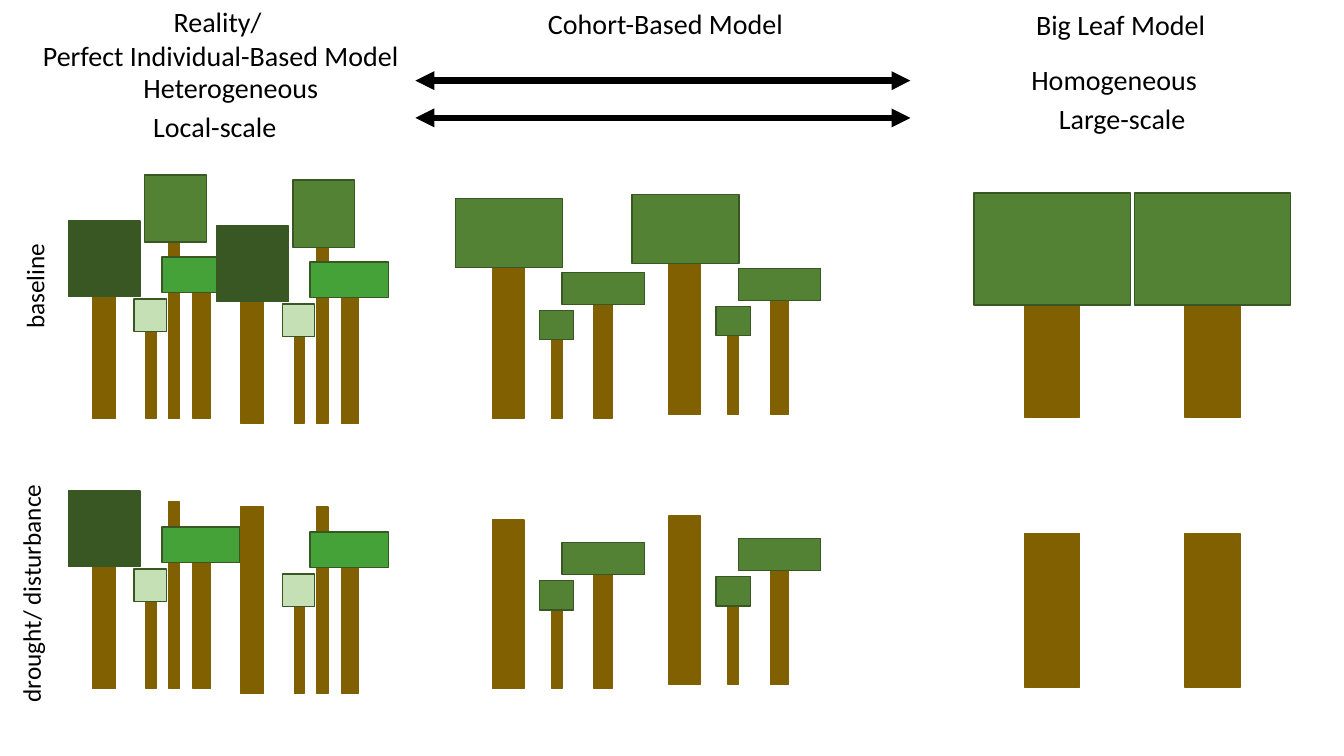
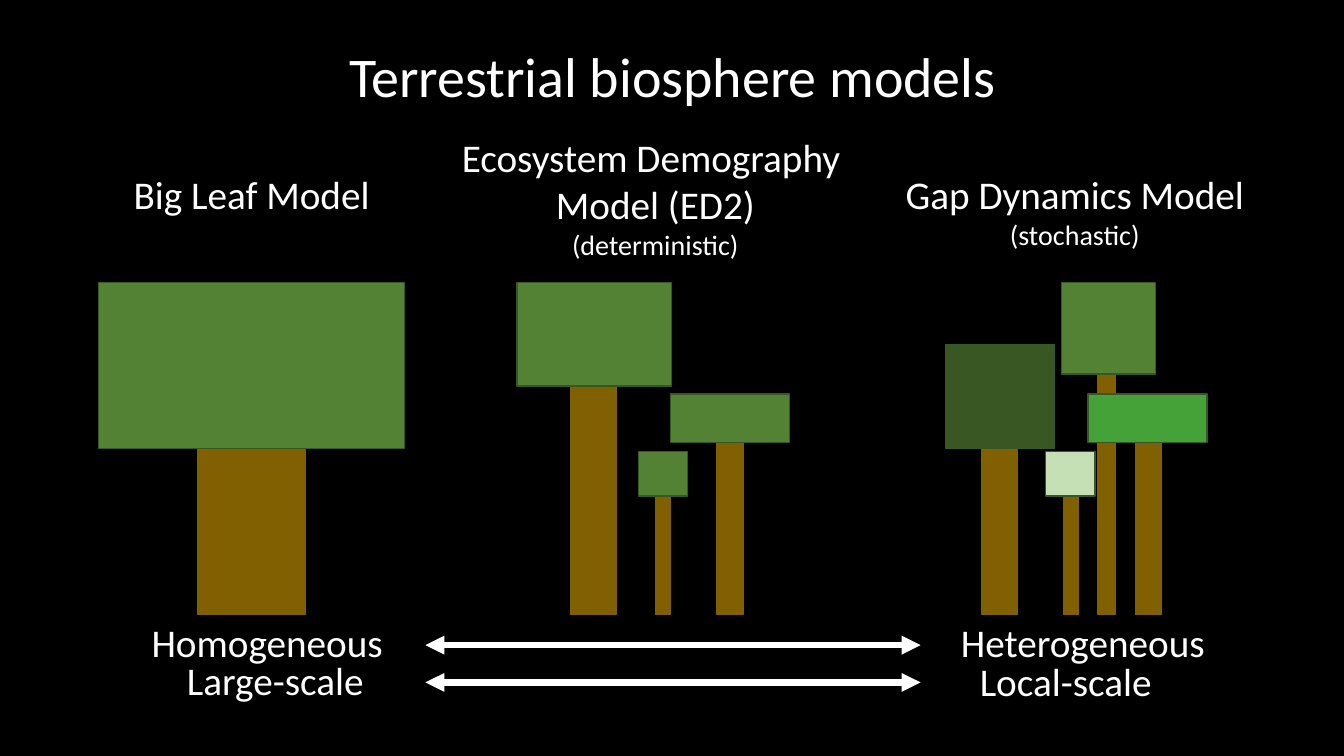
import dataclasses

import pptx
import pptx.dml.color
import pptx.enum.shapes
import pptx.enum.text
import pptx.oxml
import pptx.oxml.ns
import pptx.util

Inches = pptx.util.Inches
Pt = pptx.util.Pt
RGB = pptx.dml.color.RGBColor.from_string
ALIGN = pptx.enum.text.PP_ALIGN
ANCHOR = pptx.enum.text.MSO_ANCHOR


@dataclasses.dataclass(frozen=True)
class Theme:
    font: str = "Calibri"
    black: str = "000000"
    white: str = "FFFFFF"
    bark: str = "806000"
    leaf: str = "548235"
    dark_leaf: str = "385723"
    bright_leaf: str = "45A238"
    pale_leaf: str = "C5E0B4"
    title: int = 40
    heading: int = 28
    label: int = 20
    row_label: int = 18
    outline: float = 1
    arrow: float = 4.5


theme = Theme()

# Each tree: trunk (left, width, height), crown (left, top above ground,
# width, height) and crown colour, measured from the stand's left and ground.
BIG_LEAF = {
    "only": ((0.98, 1.07, 2.27), (0, 3.3, 3.03, 1.65), theme.leaf),
}
COHORT = {
    "tall": ((0.53, 0.45, 2.53), (0, 3.3, 1.53, 1.03), theme.leaf),
    "middle": ((1.98, 0.26, 1.8), (1.52, 2.19, 1.18, 0.48), theme.leaf),
    "small": ((1.37, 0.15, 1.37), (1.2, 1.62, 0.49, 0.44), theme.leaf),
}
INDIVIDUAL = {
    "thin": ((1.51, 0.17, 2.53), (1.15, 3.3, 0.93, 0.91), theme.leaf),
    "dark": ((0.36, 0.35, 2.53), (0, 2.68, 1.08, 1.03), theme.dark_leaf),
    "middle": ((1.88, 0.26, 1.8), (1.41, 2.19, 1.18, 0.48), theme.bright_leaf),
    "small": ((1.17, 0.15, 1.37), (0.99, 1.62, 0.49, 0.44), theme.pale_leaf),
}


def add_text(slide, text, box, size, color, align=ALIGN.CENTER, anchor=ANCHOR.TOP,
             spacing=None, rotation=0, wrap=True, last_size=None):
    """Write one paragraph per line; last_size sets the last line apart."""
    label = slide.shapes.add_textbox(*map(Inches, box))
    label.rotation = rotation
    frame = label.text_frame
    frame.word_wrap = wrap
    frame.vertical_anchor = anchor
    frame.text = text
    for paragraph in frame.paragraphs:
        paragraph.alignment = align
        paragraph.line_spacing = spacing
        font = paragraph.runs[0].font
        font.name = theme.font
        font.size = Pt(size)
        font.color.rgb = RGB(color)
    if last_size:
        font.size = Pt(last_size)


def plant(slide, stand, left, ground, scale_x=1, scale_y=1, fallen=()):
    """Draw a stand of trees as one group; fallen trees lose their crowns."""
    blocks = [(x, height, width, height, theme.bark, theme.bark)
              for (x, width, height), _, _ in stand.values()]
    blocks += [(*crown, color, theme.dark_leaf)
               for tree, (_, crown, color) in stand.items() if tree not in fallen]
    group = slide.shapes.add_group_shape()
    for x, top, width, height, fill, outline in blocks:
        block = group.shapes.add_shape(
            pptx.enum.shapes.MSO_SHAPE.RECTANGLE,
            Inches(left + x * scale_x), Inches(ground - top * scale_y),
            Inches(width * scale_x), Inches(height * scale_y))
        block.shadow.inherit = False
        block.fill.solid()
        block.fill.fore_color.rgb = RGB(fill)
        block.line.color.rgb = RGB(outline)
        block.line.width = Pt(theme.outline)


prs = pptx.Presentation()
prs.slide_width, prs.slide_height = Inches(13.33), Inches(7.5)
blank = prs.slide_layouts[6]
comparison, overview = (prs.slides.add_slide(blank) for _ in range(2))

# Background and the pair of double arrows
for slide, background, ink, arrow_left, arrow_top in [
    (comparison, theme.white, theme.black, 4.12, 0.8),
    (overview, theme.black, theme.white, 4.22, 6.4),
]:
    slide.background.fill.solid()
    slide.background.fill.fore_color.rgb = RGB(background)
    for y in (arrow_top, arrow_top + 0.37):
        arrow = slide.shapes.add_connector(
            pptx.enum.shapes.MSO_CONNECTOR.STRAIGHT,
            Inches(arrow_left), Inches(y), Inches(arrow_left + 4.91), Inches(y))
        arrow.line.color.rgb = RGB(ink)
        arrow.line.width = Pt(theme.arrow)
        line = arrow.line._get_or_add_ln()
        for end in ("a:headEnd", "a:tailEnd"):
            line.append(pptx.oxml.parse_xml(
                f'<{end} {pptx.oxml.ns.nsdecls("a")} type="triangle"/>'))
        arrow._element.spPr.append(pptx.oxml.parse_xml(
            f'<a:effectLst {pptx.oxml.ns.nsdecls("a")}/>'))

# Slide 1: baseline above, drought below
for stand, left, ground, scale_x, scale_y, lost in [
    (COHORT, 4.52, 4.15, 0.693, 0.66, ["tall"]),
    (INDIVIDUAL, 0.68, 4.15, 0.657, 0.731, ["thin"]),
    (BIG_LEAF, 9.66, 4.14, 0.512, 0.674, ["only"]),
    (COHORT, 6.27, 4.11, 0.693, 0.66, ["tall"]),
    (BIG_LEAF, 11.25, 4.14, 0.512, 0.674, ["only"]),
    (INDIVIDUAL, 2.15, 4.2, 0.657, 0.731, ["thin", "dark"]),
]:
    for drop, fallen in ((0, ()), (2.68, lost)):
        plant(comparison, stand, left, ground + drop, scale_x, scale_y, fallen)

for text, box in [
    ("Reality/ \nPerfect Individual-Based Model", (0.21, 0, 3.96, 0.77)),
    ("Cohort-Based Model", (4.47, 0.02, 4.26, 0.44)),
    ("Big Leaf Model", (9.6, 0.03, 3.03, 0.44)),
]:
    add_text(comparison, text, box, theme.label, theme.black)

for text, box in [
    ("drought/ disturbance", (-0.9, 5.66, 2.41, 0.4)),
    ("baseline", (-0.19, 2.63, 1.06, 0.4)),
]:
    add_text(comparison, text, box, theme.row_label, theme.black,
             align=ALIGN.LEFT, rotation=270, wrap=False)

# Slide 2: one stand per model
for stand, left in ((BIG_LEAF, 0.98), (COHORT, 5.13), (INDIVIDUAL, 9.38)):
    plant(overview, stand, left, 6.1)

add_text(overview, "Terrestrial biosphere models", (0.92, 0.35, 11.5, 0.88),
         theme.title, theme.white, anchor=ANCHOR.MIDDLE, spacing=0.9)
for text, box, last_size in [
    ("Big Leaf Model", (0.98, 1.64, 3.03, 0.57), None),
    ("Ecosystem Demography \nModel (ED2)\n(deterministic)",
     (4.37, 1.27, 4.26, 1.38), theme.label),
    ("Gap Dynamics Model\n(stochastic)", (8.83, 1.64, 3.66, 0.91), theme.label),
]:
    add_text(overview, text, box, theme.heading, theme.white, last_size=last_size)

# Scale labels beside the arrows
for slide, size, ink, labels in [
    (comparison, theme.label, theme.black, [
        ("Heterogeneous", 0.46, 0.51, 0.75), ("Local-scale", 0.3, 0.9, 0.75),
        ("Homogeneous", 9.22, 0.43, 0.75), ("Large-scale", 9.3, 0.8, 0.79)]),
    (overview, theme.heading, theme.white, [
        ("Homogeneous", 0.82, 6.02, 0.75), ("Large-scale", 0.9, 6.38, 0.79),
        ("Heterogeneous", 8.91, 6.02, 0.75), ("Local-scale", 8.74, 6.41, 0.75)]),
]:
    for text, left, top, height in labels:
        add_text(slide, text, (left, top, 3.66, height), size, ink,
                 anchor=ANCHOR.MIDDLE, spacing=0.9)

prs.save("out.pptx")
